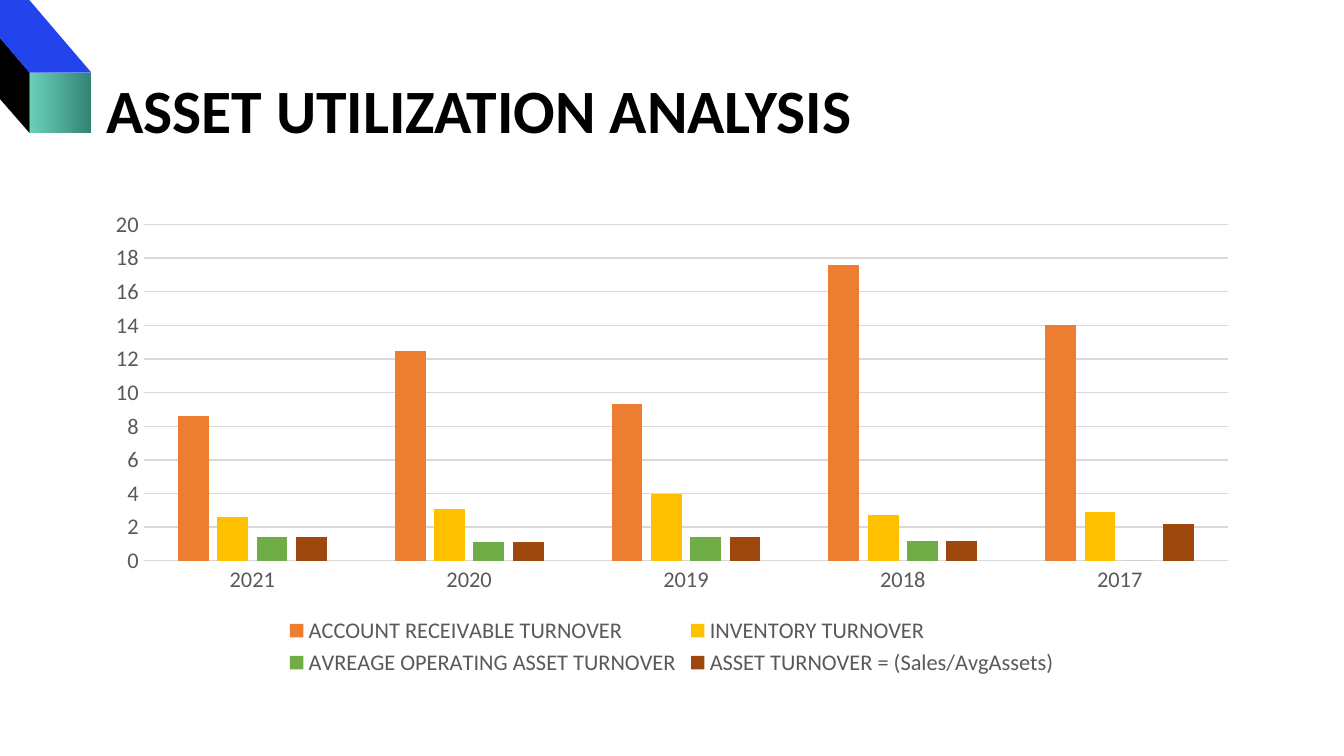
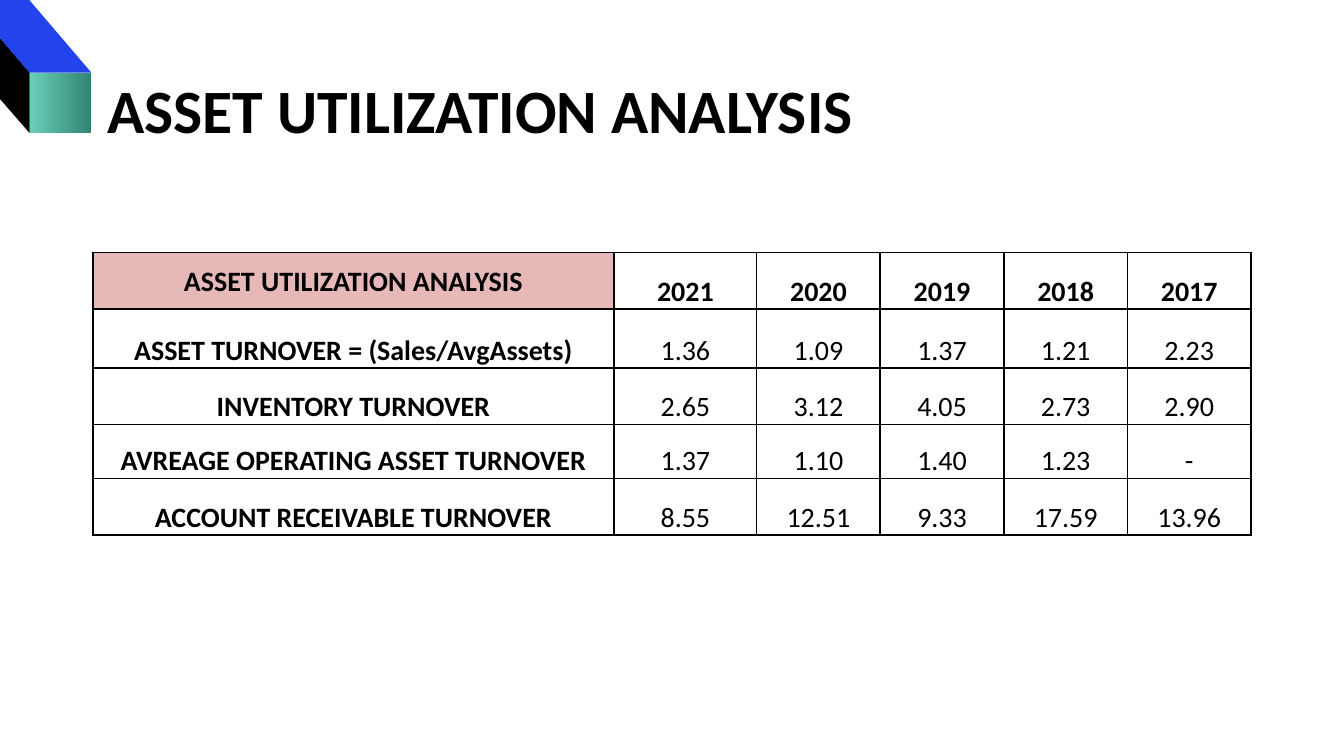
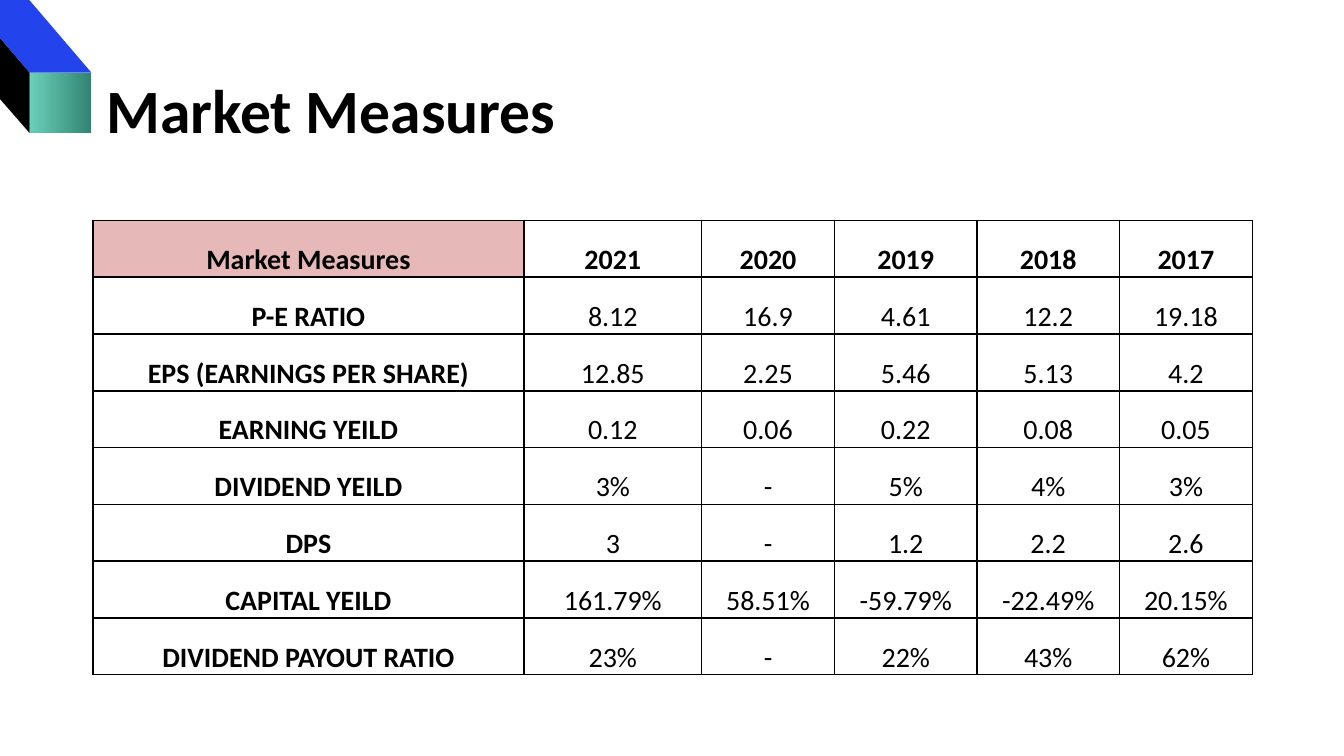
from lxml import etree
from pptx import Presentation
from pptx.chart.data import CategoryChartData
from pptx.dml.color import RGBColor
from pptx.enum.chart import XL_CHART_TYPE, XL_LEGEND_POSITION, XL_TICK_MARK
from pptx.enum.text import MSO_ANCHOR, MSO_AUTO_SIZE, PP_ALIGN
from pptx.oxml.ns import qn
from pptx.util import Inches, Pt

COLUMNS = XL_CHART_TYPE.COLUMN_CLUSTERED
LEGEND_BOTTOM = XL_LEGEND_POSITION.BOTTOM
NO_TICK = XL_TICK_MARK.NONE
MIDDLE, BOTTOM = MSO_ANCHOR.MIDDLE, MSO_ANCHOR.BOTTOM
NO_AUTOFIT = MSO_AUTO_SIZE.NONE
LEFT, CENTER = PP_ALIGN.LEFT, PP_ALIGN.CENTER

FONT = "Calibri"
COLORS = {
    "ink": "000000",
    "blue": "2344EC",
    "mint": "69D0B9",
    "teal": "328472",
    "header": "E6B8B7",
    "label": "595959",
    "grid": "D9D9D9",
    "receivable": "ED7D31",
    "inventory": "FFC000",
    "operating": "70AD47",
    "asset": "9E480E",
}
YEARS = ["2021", "2020", "2019", "2018", "2017"]
MARGIN = 0.69


def set_font(font, size, color, bold=False):
    font.name = FONT
    font.size = Pt(size)
    font.bold = bold
    font.color.rgb = RGBColor.from_string(COLORS[color])


def add_bordered_table(slide, top, widths, heights, rows, header_anchor):
    table = slide.shapes.add_table(
        len(rows), len(widths), Inches(MARGIN), Inches(top),
        Inches(sum(widths)), Inches(sum(heights)),
    ).table
    table.first_row = table.horz_banding = False
    for column, width in zip(table.columns, widths):
        column.width = Inches(width)
    for row, height in zip(table.rows, heights):
        row.height = Inches(height)
    for r, values in enumerate(rows):
        for c, value in enumerate(values):
            is_header = r == 0 and c == 0
            cell = table.cell(r, c)
            cell.text = value
            cell.margin_left = cell.margin_right = cell.margin_top = Inches(0.01)
            cell.margin_bottom = 0
            cell.vertical_anchor = header_anchor if is_header else BOTTOM
            paragraph = cell.text_frame.paragraphs[0]
            paragraph.alignment = CENTER
            set_font(paragraph.font, 15, "ink", bold=r == 0 or c == 0)
            properties = cell._tc.get_or_add_tcPr()
            for side in ("a:lnL", "a:lnR", "a:lnT", "a:lnB"):
                border = etree.SubElement(properties, qn(side), w=str(Pt(1)))
                border_fill = etree.SubElement(border, qn("a:solidFill"))
                etree.SubElement(border_fill, qn("a:srgbClr"), val=COLORS["ink"])
            if is_header:
                cell.fill.solid()
                cell.fill.fore_color.rgb = RGBColor.from_string(COLORS["header"])
            else:
                cell.fill.background()


prs = Presentation()
prs.slide_width = Inches(10)
prs.slide_height = prs.slide_width * 9 // 16
layout = prs.slide_layouts[5]

slides = []
for heading, left in [
    ("ASSET UTILIZATION ANALYSIS", MARGIN),
    ("ASSET UTILIZATION ANALYSIS", 0.7),
    ("Market Measures", MARGIN),
]:
    slide = prs.slides.add_slide(layout)
    title = slide.shapes.title
    title.left, title.top = Inches(left), Inches(0.3)
    title.width, title.height = Inches(8.62), Inches(1.09)
    title.text_frame.text = heading
    title.text_frame.auto_size = NO_AUTOFIT
    title.text_frame.vertical_anchor = MIDDLE
    paragraph = title.text_frame.paragraphs[0]
    paragraph.alignment = LEFT
    paragraph.line_spacing = 0.9
    set_font(paragraph.font, 33, "ink", bold=True)
    slides.append(slide)
chart_slide, utilization_slide, market_slide = slides

cube_faces = [
    ("mint", [(0.22, 0.54), (0.68, 0.54), (0.68, 0.99), (0.22, 0.99)]),
    ("ink", [(-0.25, -0.01), (0.22, 0.54), (0.22, 0.99), (-0.25, 0.45)]),
    ("blue", [(-0.25, -0.01), (0.21, -0.01), (0.68, 0.54), (0.22, 0.54)]),
]
for position, (color, corners) in enumerate(cube_faces, start=2):
    points = [(Inches(x), Inches(y)) for x, y in corners]
    outline = chart_slide.shapes.build_freeform(*points[0])
    outline.add_line_segments(points[1:], close=True)
    face = outline.convert_to_shape()
    face.shadow.inherit = False
    face.line.fill.background()
    if color == "mint":
        face.fill.gradient()
        face.fill.gradient_angle = 0
        for stop, shade in zip(face.fill.gradient_stops, ("mint", "teal")):
            stop.color.rgb = RGBColor.from_string(COLORS[shade])
    else:
        face.fill.solid()
        face.fill.fore_color.rgb = RGBColor.from_string(COLORS[color])
    layout.shapes.element.insert(position, face.element)

turnovers = [
    ("ACCOUNT RECEIVABLE TURNOVER", "receivable", [8.6, 12.5, 9.3, 17.6, 14]),
    ("INVENTORY TURNOVER", "inventory", [2.6, 3.1, 4, 2.7, 2.9]),
    ("AVREAGE OPERATING ASSET TURNOVER", "operating", [1.4, 1.1, 1.4, 1.2, 0]),
    ("ASSET TURNOVER = (Sales/AvgAssets)", "asset", [1.4, 1.1, 1.4, 1.2, 2.2]),
]
turnover_data = CategoryChartData()
turnover_data.categories = YEARS
for name, color, values in turnovers:
    turnover_data.add_series(name, values)
chart = chart_slide.shapes.add_chart(
    COLUMNS, Inches(MARGIN), Inches(1.5), Inches(8.62), Inches(3.57), turnover_data
).chart
set_font(chart.font, 10, "ink")
chart.has_title = False
chart.has_legend = True
chart.legend.position = LEGEND_BOTTOM
chart.legend.include_in_layout = False
set_font(chart.legend.font, 12, "label")

plot = chart.plots[0]
plot.gap_width, plot.overlap = 219, -27
plot.vary_by_categories = False
for series, (name, color, values) in zip(plot.series, turnovers):
    series.format.fill.solid()
    series.format.fill.fore_color.rgb = RGBColor.from_string(COLORS[color])

years_axis, values_axis = chart.category_axis, chart.value_axis
for axis in (years_axis, values_axis):
    axis.major_tick_mark = axis.minor_tick_mark = NO_TICK
    set_font(axis.tick_labels.font, 12, "label")
values_axis.minimum_scale, values_axis.maximum_scale = 0, 20
values_axis.major_unit = 2
values_axis.format.line.fill.background()
for line in (years_axis.format.line, values_axis.major_gridlines.format.line):
    line.width = Pt(0.75)
    line.color.rgb = RGBColor.from_string(COLORS["grid"])

utilization_rows = [
    ["ASSET UTILIZATION ANALYSIS", *YEARS],
    ["ASSET TURNOVER = (Sales/AvgAssets)", "1.36", "1.09", "1.37", "1.21", "2.23"],
    ["INVENTORY TURNOVER", "2.65", "3.12", "4.05", "2.73", "2.90"],
    ["AVREAGE OPERATING ASSET TURNOVER", "1.37", "1.10", "1.40", "1.23", "-"],
    ["ACCOUNT RECEIVABLE TURNOVER", "8.55", "12.51", "9.33", "17.59", "13.96"],
]
add_bordered_table(
    utilization_slide, 1.88, [3.88, 1.06] + [0.92] * 4,
    [0.42, 0.44, 0.42, 0.4, 0.42], utilization_rows, MIDDLE,
)

market_rows = [
    ["Market Measures", *YEARS],
    ["P-E RATIO", "8.12", "16.9", "4.61", "12.2", "19.18"],
    ["EPS (EARNINGS PER SHARE)", "12.85", "2.25", "5.46", "5.13", "4.2"],
    ["EARNING YEILD", "0.12", "0.06", "0.22", "0.08", "0.05"],
    ["DIVIDEND YEILD", "3%", "-", "5%", "4%", "3%"],
    ["DPS", "3", "-", "1.2", "2.2", "2.6"],
    ["CAPITAL YEILD", "161.79%", "58.51%", "-59.79%", "-22.49%", "20.15%"],
    ["DIVIDEND PAYOUT RATIO", "23%", "-", "22%", "43%", "62%"],
]
add_bordered_table(
    market_slide, 1.64, [3.21, 1.32, 0.99, 1.06, 1.06, 0.99],
    [3.38 / len(market_rows)] * len(market_rows), market_rows, BOTTOM,
)

prs.save("out.pptx")
